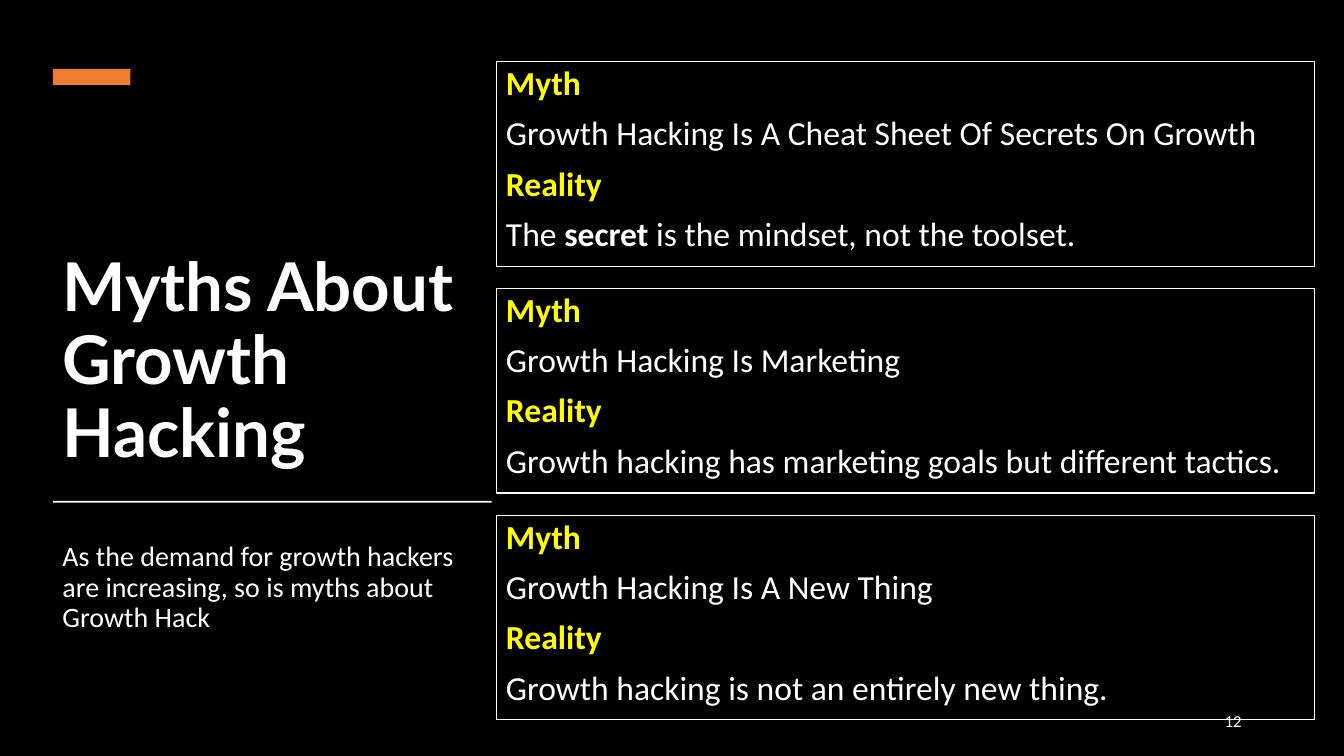
from dataclasses import dataclass

from pptx import Presentation
from pptx.dml.color import RGBColor as RGB
from pptx.enum.shapes import MSO_SHAPE as SHAPE
from pptx.enum.text import MSO_ANCHOR as ANCHOR, MSO_AUTO_SIZE as AUTO, PP_ALIGN as ALIGN
from pptx.util import Pt


@dataclass(frozen=True)
class Theme:
    background: RGB = RGB(0x00, 0x00, 0x00)
    text: RGB = RGB(0xFF, 0xFF, 0xFF)
    label: RGB = RGB(0xFF, 0xFF, 0x00)
    accent: RGB = RGB(0xED, 0x7D, 0x31)
    heading_font: str = "Lato"
    body_font: str = "Calibri"
    title_size: int = 48
    card_size: int = 24
    intro_size: int = 20
    number_size: int = 12


def set_all(target, values):
    for name, value in values.items():
        setattr(target, name, value)


class SlideBuilder:
    def __init__(self, slide, theme):
        self.s = slide
        self.theme = theme
        fill = slide.background.fill
        fill.solid()
        fill.fore_color.rgb = theme.background

    def fill_text(self, tf, paragraphs, size, font=None, anchor=ANCHOR.TOP,
                  align=ALIGN.LEFT, spacing=0.9):
        """Each paragraph is a list of (text, bold, colour) runs."""
        set_all(tf, {"word_wrap": True, "auto_size": AUTO.NONE,
                     "vertical_anchor": anchor})
        for i, runs in enumerate(paragraphs):
            p = tf.add_paragraph() if i else tf.paragraphs[0]
            set_all(p, {"alignment": align, "line_spacing": spacing,
                        "space_before": Pt(10 if i else 0)})
            for text, bold, color in runs:
                r = p.add_run()
                r.text = text
                set_all(r.font, {"name": font or self.theme.body_font,
                                 "size": Pt(size), "bold": bold})
                r.font.color.rgb = color

    def title(self, text, left, top, width, height):
        sp = self.s.shapes.title
        set_all(sp, {"left": Pt(left), "top": Pt(top),
                     "width": Pt(width), "height": Pt(height)})
        self.fill_text(sp.text_frame, [[(text, True, self.theme.text)]],
                       self.theme.title_size, self.theme.heading_font, ANCHOR.BOTTOM)

    def text(self, text, left, top, width, height, size, **layout):
        sp = self.s.shapes.add_textbox(Pt(left), Pt(top), Pt(width), Pt(height))
        self.fill_text(sp.text_frame, [[(text, False, self.theme.text)]], size, **layout)

    def rect(self, left, top, width, height, color=None):
        """Solid bar when a colour is given, otherwise an outlined frame."""
        sp = self.s.shapes.add_shape(SHAPE.RECTANGLE, Pt(left), Pt(top),
                                     Pt(width), Pt(height))
        sp.shadow.inherit = False
        if color is None:
            sp.fill.background()
            sp.line.color.rgb = self.theme.text
            sp.line.width = Pt(0.75)
        else:
            sp.fill.solid()
            sp.fill.fore_color.rgb = color
            sp.line.fill.background()
        return sp

    def card(self, myth, reality, left, top, width, height):
        t = self.theme
        sp = self.rect(left, top, width, height)
        paragraphs = []
        for label, parts in (("Myth", [(myth, False)]), ("Reality", reality)):
            paragraphs.append([(label, True, t.label)])
            paragraphs.append([(text, bold, t.text) for text, bold in parts])
        self.fill_text(sp.text_frame, paragraphs, t.card_size)


MYTHS = [
    ("Growth Hacking Is A Cheat Sheet Of Secrets On Growth",
     [("The ", False), ("secret", True), (" is the mindset, not the toolset.", False)]),
    ("Growth Hacking Is Marketing",
     [("Growth hacking has marketing goals but different tactics.", False)]),
    ("Growth Hacking Is A New Thing",
     [("Growth hacking is not an entirely new thing.", False)]),
]


def main():
    prs = Presentation()
    set_all(prs, {"slide_width": Pt(960), "slide_height": Pt(540)})
    theme = Theme()
    slide = SlideBuilder(prs.slides.add_slide(prs.slide_layouts[5]), theme)

    # Left column: title, introduction, accent bar and rule
    slide.title("Myths About Growth Hacking", 37.5, 88.5, 317, 252)
    slide.text("As the demand for growth hackers are increasing, "
               "so is myths about Growth Hack",
               37.5, 384, 317, 95, theme.intro_size)
    slide.rect(37.8, 49.2, 55.4, 11.5, theme.accent)
    slide.rect(38, 357.8, 313.2, 1.3, theme.text)

    # Right column: evenly spaced myth cards
    for i, (myth, reality) in enumerate(MYTHS):
        slide.card(myth, reality, 354.3, 44 + 162 * i, 584.6, 146.2)

    # Page number
    slide.text("12", 678, 500.4, 216, 28.8, theme.number_size,
               anchor=ANCHOR.MIDDLE, align=ALIGN.RIGHT, spacing=1.0)

    prs.save("out.pptx")


if __name__ == "__main__":
    main()
